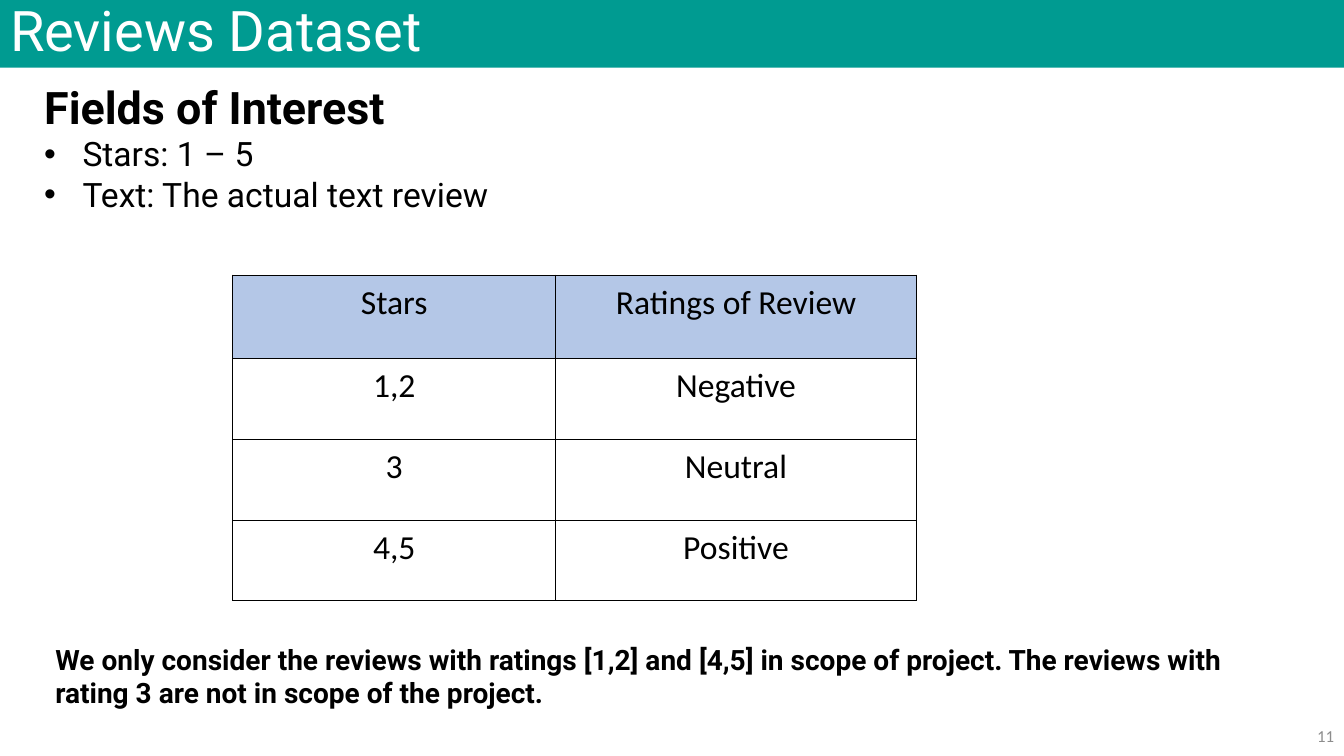
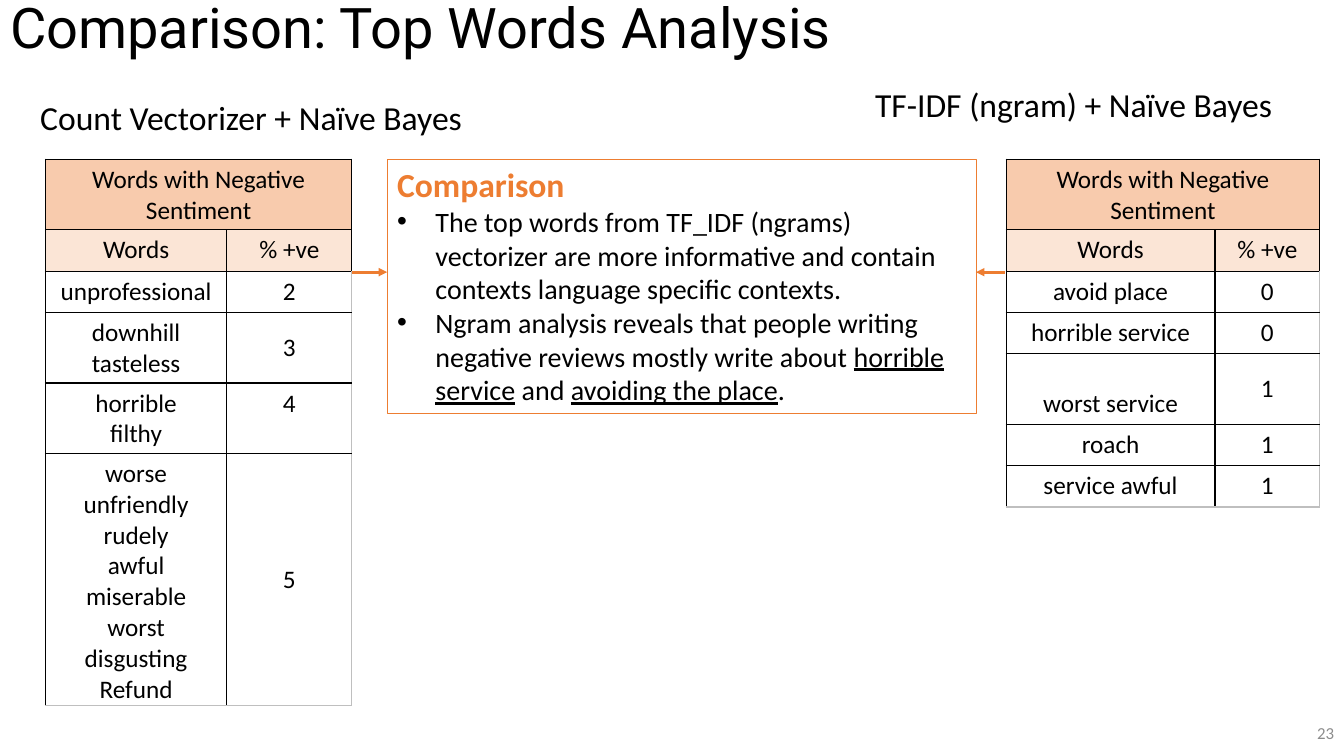
from dataclasses import dataclass

from lxml import etree
from pptx import Presentation
from pptx import util as u
from pptx.dml import color as colors
from pptx.enum import shapes, text
from pptx.oxml import ns

PX = 9144
HEADING_FONT = "Roboto"
BODY_FONT = "Calibri"
BLACK = "000000"
WHITE = "FFFFFF"
TEAL = "009B91"
ORANGE = "ED7D31"
PEACH = "F8CBAD"
PALE_PEACH = "FBE5D6"
BLUE = "B4C7E7"
PAGE_GRAY = "8C8C8C"
EDGE_GRAY = "BFBFBF"

TOP = text.MSO_ANCHOR.TOP
MIDDLE = text.MSO_ANCHOR.MIDDLE
BOTTOM = text.MSO_ANCHOR.BOTTOM
LEFT = text.PP_ALIGN.LEFT
CENTER = text.PP_ALIGN.CENTER
RIGHT = text.PP_ALIGN.RIGHT


@dataclass(frozen=True)
class Box:
    left: int
    top: int
    width: int
    height: int


@dataclass(frozen=True)
class Line:
    """Every second phrase of a line is underlined."""

    phrases: tuple[str, ...]
    size: int
    font: str = BODY_FONT
    color: str = BLACK
    bold: bool = False
    bullet: bool = False
    align: text.PP_ALIGN = LEFT


@dataclass(frozen=True)
class Row:
    height: int
    cells: tuple[str, ...]
    fill: str = WHITE
    anchors: tuple[text.MSO_ANCHOR, ...] = (TOP, MIDDLE)


@dataclass(frozen=True)
class Grid:
    left: int
    top: int
    columns: tuple[int, ...]
    rows: tuple[Row, ...]
    size: int
    padding: tuple[int, int] = (10, 5)
    edge: str = BLACK
    header_rows: int = 1


def px(length: int) -> u.Emu:
    return u.Emu(length * PX)


def rgb(value: str) -> colors.RGBColor:
    return colors.RGBColor.from_string(value)


def place(box: Box) -> tuple[u.Emu, ...]:
    return px(box.left), px(box.top), px(box.width), px(box.height)


def paint(target, color: str) -> None:
    target.fill.solid()
    target.fill.fore_color.rgb = rgb(color)


def add_run(paragraph, content: str, *, size: int, font: str, color: str,
            bold: bool = False, underline: bool = False) -> None:
    run = paragraph.add_run()
    run.text = content
    run.font.size = u.Pt(size)
    run.font.name = font
    run.font.color.rgb = rgb(color)
    run.font.bold = bold
    run.font.underline = underline


def add_bullet(paragraph, indent: int = 38) -> None:
    properties = paragraph._p.get_or_add_pPr()
    properties.set("marL", str(px(indent)))
    properties.set("indent", str(-px(indent)))
    etree.SubElement(properties, ns.qn("a:buFont"), typeface="Arial")
    etree.SubElement(properties, ns.qn("a:buChar"), char="•")


def write(frame, *lines: Line, anchor: text.MSO_ANCHOR = TOP) -> None:
    frame.word_wrap = True
    frame.vertical_anchor = anchor
    for index, line in enumerate(lines):
        paragraph = frame.add_paragraph() if index else frame.paragraphs[0]
        paragraph.alignment = line.align
        if line.bullet:
            add_bullet(paragraph)
        for number, phrase in enumerate(line.phrases):
            add_run(paragraph, phrase, size=line.size, font=line.font, color=line.color,
                    bold=line.bold, underline=number % 2 == 1)


def add_text(slide, box: Box, *lines: Line, anchor: text.MSO_ANCHOR = TOP) -> None:
    write(slide.shapes.add_textbox(*place(box)).text_frame, *lines, anchor=anchor)


def add_slide(presentation, title: str, box: Box, page: str, page_top: int,
              *, color: str = BLACK, band: str | None = None):
    slide = presentation.slides.add_slide(presentation.slide_layouts[5])
    shape = slide.shapes.title
    shape.left, shape.top, shape.width, shape.height = place(box)
    if band:
        paint(shape, band)
    shape.text_frame.auto_size = text.MSO_AUTO_SIZE.NONE
    write(shape.text_frame, Line((title,), 40, HEADING_FONT, color), anchor=MIDDLE)
    shape.text_frame.paragraphs[0].line_spacing = 0.9
    add_text(slide, Box(1033, page_top, 300, 40),
             Line((page,), 12, color=PAGE_GRAY, align=RIGHT), anchor=MIDDLE)
    return slide


def add_panel(slide, box: Box, *lines: Line) -> None:
    shape = slide.shapes.add_shape(shapes.MSO_SHAPE.RECTANGLE, *place(box))
    shape.shadow.inherit = False
    paint(shape, WHITE)
    shape.line.color.rgb = rgb(ORANGE)
    shape.line.width = u.Pt(0.75)
    write(shape.text_frame, *lines)


def add_arrow(slide, start: int, end: int, height: int) -> None:
    arrow = slide.shapes.add_connector(
        shapes.MSO_CONNECTOR.STRAIGHT, px(start), px(height), px(end), px(height))
    arrow.line.color.rgb = rgb(ORANGE)
    arrow.line.width = u.Pt(2)
    etree.SubElement(arrow.line._get_or_add_ln(), ns.qn("a:tailEnd"), type="triangle")
    etree.SubElement(arrow._element.spPr, ns.qn("a:effectLst"))


def set_borders(cell, right: str, bottom: str) -> None:
    properties = cell._tc.get_or_add_tcPr()
    sides = {"lnL": BLACK, "lnR": right, "lnT": BLACK, "lnB": bottom}
    for index, (side, color) in enumerate(sides.items()):
        border = etree.Element(ns.qn(f"a:{side}"), w=str(u.Pt(1)))
        fill = etree.SubElement(border, ns.qn("a:solidFill"))
        etree.SubElement(fill, ns.qn("a:srgbClr"), val=color)
        properties.insert(index, border)


def add_grid(slide, grid: Grid) -> None:
    box = Box(grid.left, grid.top, sum(grid.columns), sum(row.height for row in grid.rows))
    table = slide.shapes.add_table(len(grid.rows), len(grid.columns), *place(box)).table
    table.first_row = table.horz_banding = False
    for column, width in zip(table.columns, grid.columns):
        column.width = px(width)
    for y, row in enumerate(grid.rows):
        table.rows[y].height = px(row.height)
        if len(row.cells) == 1:
            table.cell(y, 0).merge(table.cell(y, len(grid.columns) - 1))
        for x in range(len(grid.columns)):
            cell = table.cell(y, x)
            paint(cell, row.fill)
            last_column = x == len(grid.columns) - 1
            set_borders(
                cell,
                right=grid.edge if last_column and y >= grid.header_rows else BLACK,
                bottom=grid.edge if y == len(grid.rows) - 1 else BLACK)
            cell.margin_left = cell.margin_right = px(grid.padding[0])
            cell.margin_top = cell.margin_bottom = px(grid.padding[1])
        for x, content in enumerate(row.cells):
            cell = table.cell(y, x)
            lines = [Line((entry,), grid.size, align=CENTER) for entry in content.split("\n")]
            write(cell.text_frame, *lines)
            cell.vertical_anchor = row.anchors[x]


def build_reviews(presentation) -> None:
    slide = add_slide(presentation, "Reviews Dataset", Box(0, 0, 1333, 67), "11", 710,
                      color=WHITE, band=TEAL)
    add_text(slide, Box(34, 74, 1195, 145),
             Line(("Fields of Interest",), 32, HEADING_FONT, bold=True),
             Line(("Stars: 1 – 5",), 24, HEADING_FONT, bullet=True),
             Line(("Text: The actual text review",), 24, HEADING_FONT, bullet=True))
    top_anchors = (TOP, TOP)
    ratings = (("1,2", "Negative"), ("3", "Neutral"), ("4,5", "Positive"))
    rows = (Row(83, ("Stars", "Ratings of Review"), BLUE, top_anchors),
            *(Row(80, rating, anchors=top_anchors) for rating in ratings))
    add_grid(slide, Grid(231, 273, (320, 358), rows, 24, padding=(7, 7)))
    add_text(slide, Box(45, 632, 1195, 77),
             Line(("We only consider the reviews with ratings [1,2] and [4,5] in scope of "
                   "project. The reviews with rating 3 are not in scope of the project.",),
                  20, HEADING_FONT, bold=True))


def build_comparison(presentation) -> None:
    slide = add_slide(presentation, "Comparison: Top Words Analysis",
                      Box(0, 0, 1252, 61), "23", 707)
    add_panel(
        slide, Box(384, 158, 585, 252),
        Line(("Comparison",), 24, color=ORANGE, bold=True),
        Line(("The top words from TF_IDF (ngrams) vectorizer are more informative and "
              "contain contexts language specific contexts.",), 20, bullet=True),
        Line(("Ngram analysis reveals that people writing negative reviews mostly write "
              "about ", "horrible service", " and ", "avoiding the place", "."),
             20, bullet=True))
    add_arrow(slide, 348, 384, 270)
    add_arrow(slide, 997, 968, 270)
    add_text(slide, Box(30, 91, 448, 50), Line(("Count Vectorizer + Naïve Bayes",), 24))
    add_text(slide, Box(858, 78, 448, 50), Line(("TF-IDF (ngram) + Naïve Bayes",), 24))

    header = (Row(70, ("Words with Negative Sentiment",), PEACH),
              Row(41, ("Words", "% +ve"), PALE_PEACH, (TOP, TOP)))
    count_rows = (
        Row(41, ("unprofessional", "2")),
        Row(70, ("downhill\ntasteless", "3")),
        Row(70, ("horrible\nfilthy", "4"), anchors=(TOP, TOP)),
        Row(249, ("worse\nunfriendly\nrudely\nawful\nmiserable\nworst\ndisgusting\nRefund",
                  "5")))
    ngram_rows = (
        Row(41, ("avoid place", "0")),
        Row(41, ("horrible service", "0")),
        Row(70, ("worst service", "1"), anchors=(BOTTOM, MIDDLE)),
        Row(41, ("roach", "1")),
        Row(41, ("service awful", "1")))
    for left, columns, rows in ((998, (207, 104), ngram_rows), (45, (180, 124), count_rows)):
        add_grid(slide, Grid(left, 158, columns, header + rows, 18,
                             edge=EDGE_GRAY, header_rows=len(header)))


def main() -> None:
    presentation = Presentation()
    presentation.slide_width = px(1333)
    presentation.slide_height = px(750)
    build_reviews(presentation)
    build_comparison(presentation)
    presentation.save("out.pptx")


if __name__ == "__main__":
    main()
